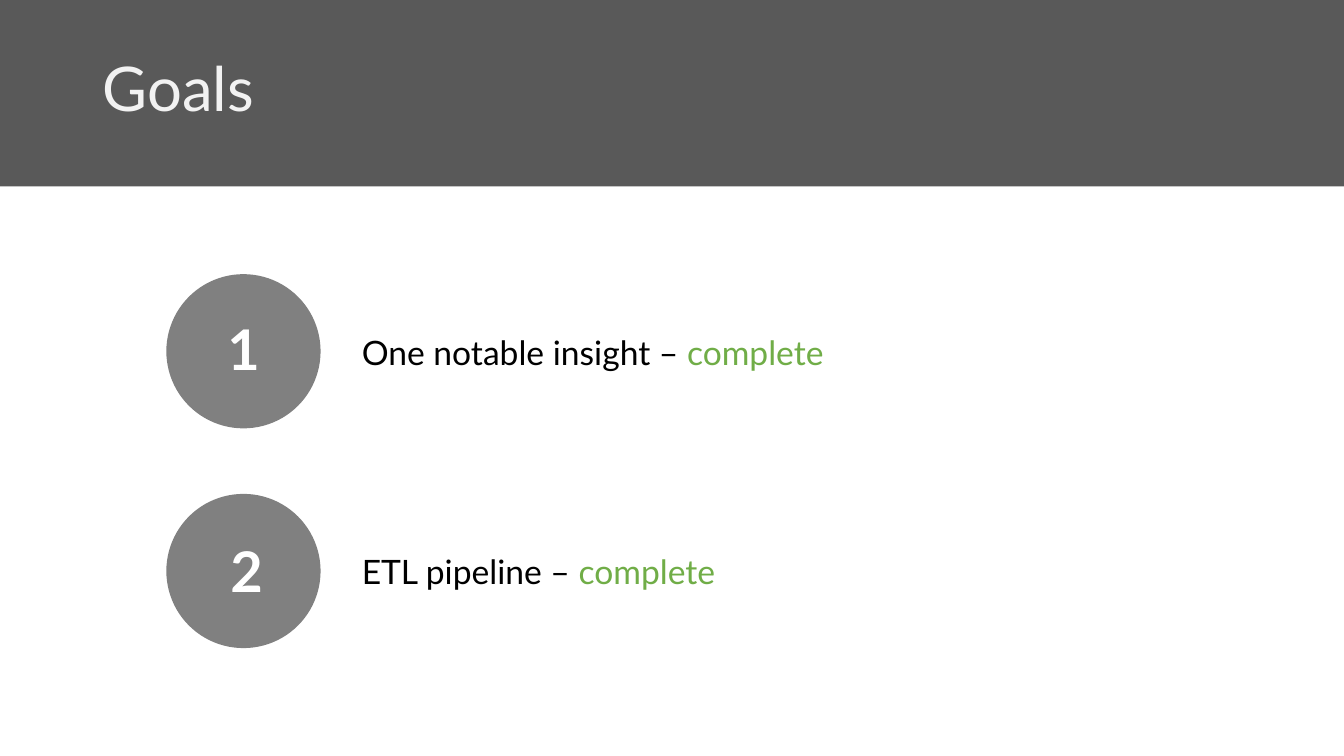
from pptx import Presentation
from pptx.dml.color import RGBColor
from pptx.enum.shapes import MSO_SHAPE
from pptx.enum.text import MSO_ANCHOR, PP_ALIGN
from pptx.util import Inches, Pt

RECTANGLE, OVAL = MSO_SHAPE.RECTANGLE, MSO_SHAPE.OVAL
TOP, MIDDLE = MSO_ANCHOR.TOP, MSO_ANCHOR.MIDDLE
LEFT, CENTER = PP_ALIGN.LEFT, PP_ALIGN.CENTER

FONT = "Lato"
BAND = RGBColor(0x59, 0x59, 0x59)
TITLE = RGBColor(0xF2, 0xF2, 0xF2)
CIRCLE = RGBColor(0x80, 0x80, 0x80)
WHITE = RGBColor(0xFF, 0xFF, 0xFF)
BLACK = RGBColor(0x00, 0x00, 0x00)
GREEN = RGBColor(0x70, 0xAD, 0x47)

SLIDE_WIDTH, SLIDE_HEIGHT = 13.33, 7.5
GOAL_LEFT, GOAL_TOP, GOAL_PITCH = 1.65, 2.72, 2.18
CIRCLE_SIZE = 1.53
GOALS = [
    ("One notable insight – ", "complete", 6.81, (0.36, 0.35)),
    ("ETL pipeline –", " complete", 5.74, (0.39, 0.37)),
]


def add_filled_shape(shapes, kind, left, top, width, height, color):
    """Add a borderless preset shape in one solid colour."""
    shape = shapes.add_shape(kind, Inches(left), Inches(top), Inches(width), Inches(height))
    shape.shadow.inherit = False
    shape.fill.solid()
    shape.fill.fore_color.rgb = color
    shape.line.fill.background()


def add_text(shapes, left, top, width, height, runs, size,
             bold=False, align=LEFT, anchor=TOP, line_spacing=1.0):
    """Add a one-paragraph text box from (text, colour) runs."""
    box = shapes.add_textbox(Inches(left), Inches(top), Inches(width), Inches(height))
    frame = box.text_frame
    frame.word_wrap = True
    frame.vertical_anchor = anchor
    paragraph = frame.paragraphs[0]
    paragraph.alignment = align
    paragraph.line_spacing = line_spacing
    for text, color in runs:
        run = paragraph.add_run()
        run.text = text
        run.font.name = FONT
        run.font.size = Pt(size)
        run.font.bold = bold
        run.font.color.rgb = color


def add_header(slide, left, top, width, height):
    """Draw the dark band with the slide title."""
    add_filled_shape(slide.shapes, RECTANGLE, left, top, width, height, BAND)
    add_text(slide.shapes, left + 0.92, top + 0.18, 11.5, 1.45,
             [("Goals", TITLE)], 44, anchor=MIDDLE, line_spacing=0.9)


def add_goal(slide, left, top, number, goal):
    """Draw a numbered circle with the goal and its status beside it."""
    label, status, width, (number_left, number_top) = goal
    add_text(slide.shapes, left + 1.84, top + 0.52, width, 0.5,
             [(label, BLACK), (status, GREEN)], 24)
    badge = slide.shapes.add_group_shape()
    add_filled_shape(badge.shapes, OVAL, left, top, CIRCLE_SIZE, CIRCLE_SIZE, CIRCLE)
    add_text(badge.shapes, left + number_left, top + number_top, 0.81, 0.77,
             [(str(number), WHITE)], 40, bold=True, align=CENTER)


def main():
    """Build and save the goals slide."""
    presentation = Presentation()
    presentation.slide_width = Inches(SLIDE_WIDTH)
    presentation.slide_height = Inches(SLIDE_HEIGHT)
    slide = presentation.slides.add_slide(presentation.slide_layouts[6])
    add_header(slide, 0, 0, SLIDE_WIDTH, 1.85)
    for index, goal in enumerate(GOALS):
        add_goal(slide, GOAL_LEFT, GOAL_TOP + index * GOAL_PITCH, index + 1, goal)
    presentation.save("out.pptx")


if __name__ == "__main__":
    main()
